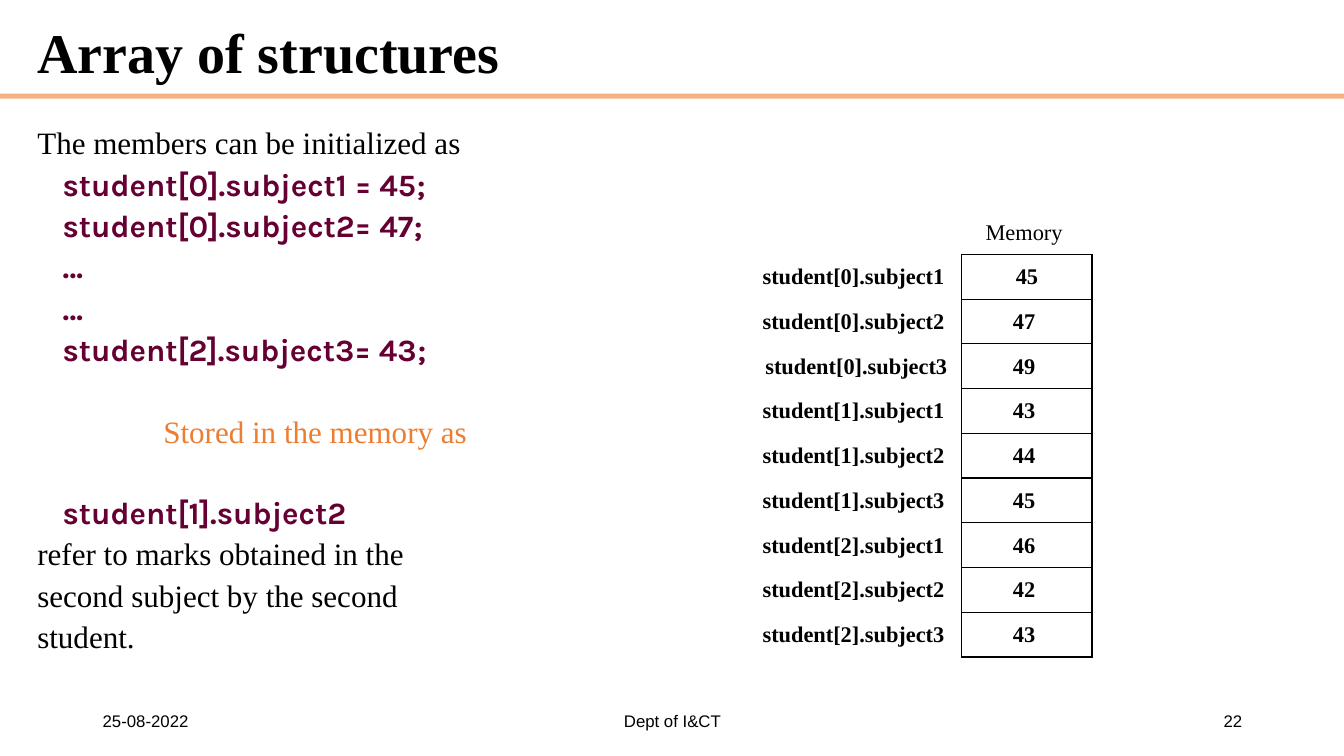
from dataclasses import dataclass
from lxml.etree import SubElement
from pptx import Presentation
from pptx.dml.color import RGBColor
from pptx.enum.shapes import MSO_SHAPE
from pptx.enum.text import MSO_ANCHOR, MSO_AUTO_SIZE, PP_ALIGN
from pptx.oxml.ns import qn
from pptx.util import Inches, Pt


@dataclass(frozen=True)
class Theme:
    ink: str = "000000"
    code: str = "660033"
    accent: str = "ED7D31"
    bar: str = "F4B183"
    serif: str = "Times New Roman"
    mono: str = "Karla"
    sans: str = "Arial"
    head: float = 40
    body: float = 22.2
    cell: float = 16
    foot: float = 12


look = Theme()


def assign(item, form):
    for name, value in form.items():
        setattr(item, name, value)


def style(part, face, size, color, bold=False):
    assign(part.font, {"name": face, "size": Pt(size), "bold": bold})
    part.font.color.rgb = RGBColor.from_string(color)


def place(shape, box):
    names = ("left", "top", "width", "height")
    assign(shape, dict(zip(names, map(Inches, box))))


def add_title(slide, box, text):
    shape = slide.shapes.title
    place(shape, box)
    frame = shape.text_frame
    assign(frame, {"vertical_anchor": MSO_ANCHOR.MIDDLE,
                   "auto_size": MSO_AUTO_SIZE.NONE, "word_wrap": True})
    frame.text = text
    para = frame.paragraphs[0]
    assign(para, {"alignment": PP_ALIGN.LEFT, "line_spacing": 0.9})
    style(para, look.serif, look.head, look.ink, True)


def add_bar(slide, box):
    bar = slide.shapes.add_shape(MSO_SHAPE.RECTANGLE, *map(Inches, box))
    bar.shadow.inherit = False
    bar.fill.solid()
    bar.fill.fore_color.rgb = RGBColor.from_string(look.bar)
    bar.line.fill.background()


def add_body(slide, box, lines):
    kinds = {
        "text": (0, look.serif, look.ink, False),
        "code": (0.25, look.mono, look.code, True),
        "note": (1.25, look.serif, look.accent, False),
    }
    shape = slide.placeholders[1]
    place(shape, box)
    frame = shape.text_frame
    assign(frame, {"auto_size": MSO_AUTO_SIZE.NONE, "word_wrap": True,
                   "vertical_anchor": MSO_ANCHOR.TOP})
    for i, (kind, gap, text) in enumerate(lines):
        indent, face, color, bold = kinds[kind]
        para = frame.add_paragraph() if i else frame.paragraphs[0]
        para.text = text
        assign(para, {"alignment": PP_ALIGN.JUSTIFY, "line_spacing": 0.8,
                      "space_before": Pt(gap if i else 0)})
        props = para._p.get_or_add_pPr()
        props.set("marL", str(Inches(indent)))
        props.set("indent", "0")
        SubElement(props, qn("a:buNone"))
        style(para, face, look.body, color, bold)


def add_edges(cell, sides):
    props = cell._tc.get_or_add_tcPr()
    for side in "LRTB":
        line = SubElement(props, qn("a:ln" + side), w=str(Pt(1)))
        if side in sides:
            fill = SubElement(line, qn("a:solidFill"))
            SubElement(fill, qn("a:srgbClr"), val=look.ink)
        else:
            SubElement(line, qn("a:noFill"))


def add_memory(slide, box, rows):
    table = slide.shapes.add_table(len(rows), 2, *map(Inches, box)).table
    assign(table, {"first_row": False, "horz_banding": False})
    for col, width in zip(table.columns, (2.15, 1.29)):
        col.width = Inches(width)
    for r, row in enumerate(rows):
        table.rows[r].height = Inches(box[3] / len(rows))
        edges = ("R", "LRTB") if r else ("", "B")
        for c, text in enumerate(row):
            cell = table.cell(r, c)
            assign(cell, {"margin_left": Inches(0.07),
                          "margin_right": Inches(0.07),
                          "margin_top": Inches(0.01), "margin_bottom": 0,
                          "vertical_anchor": MSO_ANCHOR.MIDDLE})
            add_edges(cell, edges[c])
            cell.fill.background()
            cell.text = text
            para = cell.text_frame.paragraphs[0]
            para.alignment = PP_ALIGN.CENTER
            style(para, look.serif, look.cell, look.ink, r > 0)


def add_foot(slide, box, parts):
    left, top, _, height = box
    for shift, width, align, text in parts:
        spot = (left + shift, top, width, height)
        frame = slide.shapes.add_textbox(*map(Inches, spot)).text_frame
        assign(frame, {"word_wrap": True,
                       "vertical_anchor": MSO_ANCHOR.MIDDLE})
        para = frame.paragraphs[0]
        para.text = text
        para.alignment = align
        style(para, look.sans, look.foot, look.ink)


def main():
    deck = Presentation()
    assign(deck, {"slide_width": Inches(13.33), "slide_height": Inches(7.5)})
    slide = deck.slides.add_slide(deck.slide_layouts[1])
    near, far = 8.2, 36.9
    add_bar(slide, (0, 0.93, 13.33, 0.05))
    add_title(slide, (0.27, 0.15, 12.15, 0.79), "Array of structures")
    add_body(slide, (0.27, 1.25, 12.83, 5.6), [
        ("text", near, "The members can be initialized as"),
        ("code", near, "student[0].subject1 = 45;"),
        ("code", near, "student[0].subject2= 47;"),
        ("code", near, "…"),
        ("code", near, "…"),
        ("code", near, "student[2].subject3= 43;"),
        ("note", far, "Stored in the memory as"),
        ("code", far, "student[1].subject2"),
        ("text", near, "refer to marks obtained in the"),
        ("text", near, "second subject by the second"),
        ("text", near, "student."),
    ])
    add_memory(slide, (7.39, 2.08, 3.44, 4.44), [
        ("", "Memory "),
        ("student[0].subject1", "45"),
        ("student[0].subject2", "47 "),
        (" student[0].subject3", "49 "),
        ("student[1].subject1", "43 "),
        ("student[1].subject2", "44 "),
        ("student[1].subject3", "45 "),
        ("student[2].subject1", "46 "),
        ("student[2].subject2", "42 "),
        ("student[2].subject3", "43 "),
    ])
    add_foot(slide, (0.92, 6.95, 11.5, 0.4), [
        (0, 3, PP_ALIGN.LEFT, "25-08-2022"),
        (3.5, 4.5, PP_ALIGN.CENTER, "Dept of I&CT"),
        (8.5, 3, PP_ALIGN.RIGHT, "22"),
    ])
    deck.save("out.pptx")


if __name__ == "__main__":
    main()
